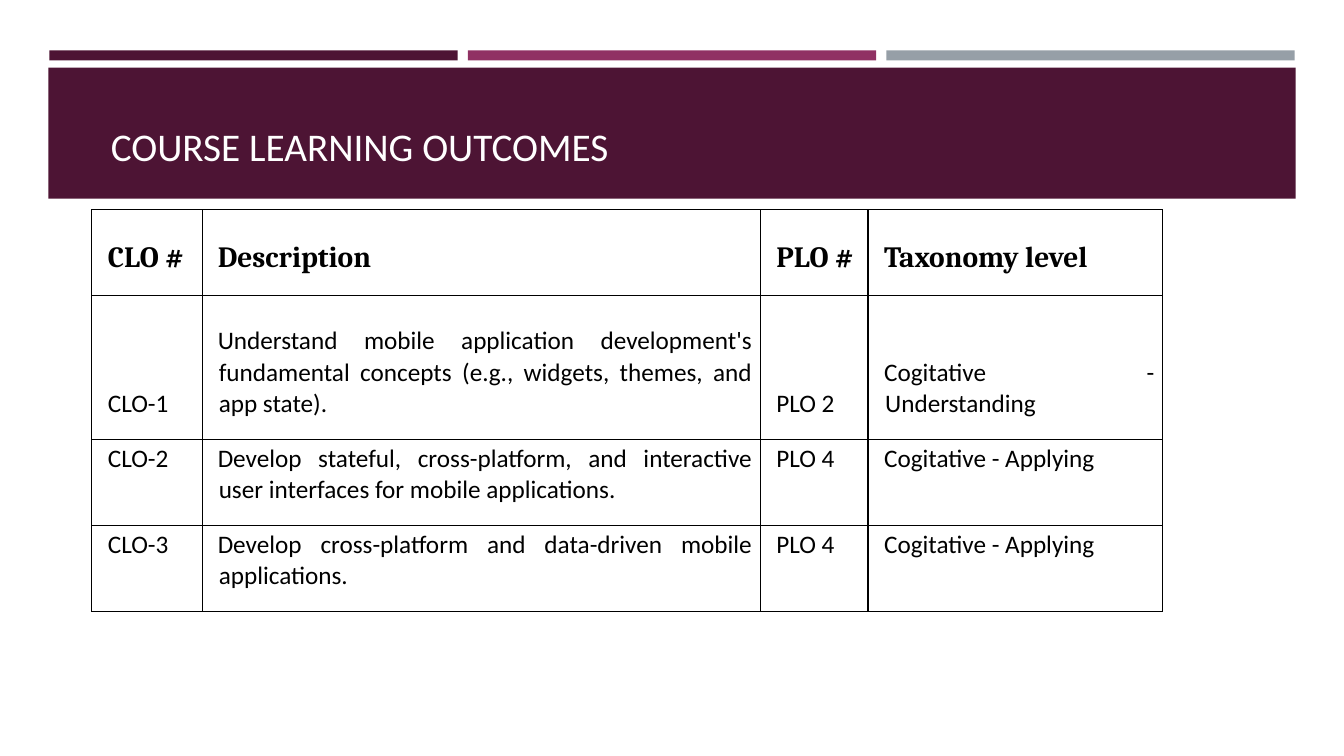
from lxml.etree import SubElement
from pptx import Presentation
from pptx.dml.color import RGBColor
from pptx.enum.shapes import MSO_SHAPE
from pptx.enum.text import MSO_ANCHOR, MSO_AUTO_SIZE, PP_ALIGN
from pptx.oxml.ns import qn
from pptx.util import Inches, Pt

PLUM = RGBColor(0x4D, 0x14, 0x34)
MAGENTA = RGBColor(0x90, 0x31, 0x63)
GREY = RGBColor(0x96, 0x9F, 0xA7)
WHITE = RGBColor(0xFF, 0xFF, 0xFF)
BLACK = RGBColor(0x00, 0x00, 0x00)

COLS = [1.1, 5.53, 1.07, 2.92]
ROWS = [0.85, 1.43, 0.85, 0.85]
OUTCOMES = [
    ["CLO #", "Description", "PLO #", "Taxonomy level"],
    ["CLO-1",
     "Understand mobile application development's fundamental concepts "
     "(e.g., widgets, themes, and app state).",
     "PLO 2", "Cogitative - Understanding"],
    ["CLO-2",
     "Develop stateful, cross-platform, and interactive user interfaces "
     "for mobile applications. ",
     "PLO 4", "Cogitative - Applying"],
    ["CLO-3",
     "Develop cross-platform and data-driven mobile applications.",
     "PLO 4", "Cogitative - Applying"],
]


def add_bar(s, x, y, w, h, color):
    sp = s.shapes.add_shape(MSO_SHAPE.RECTANGLE, Inches(x), Inches(y), Inches(w), Inches(h))
    sp.shadow.inherit = False
    sp.fill.solid()
    sp.fill.fore_color.rgb = color
    sp.line.fill.background()


def add_run(p, text, font, size, color, bold=False):
    r = p.add_run()
    r.text = text
    r.font.name = font
    r.font.size = Pt(size)
    r.font.bold = bold
    r.font.color.rgb = color


prs = Presentation()
prs.slide_width = Inches(13.33)
prs.slide_height = Inches(7.5)
s = prs.slides.add_slide(prs.slide_layouts[5])

for i, color in enumerate([PLUM, MAGENTA, GREY]):
    add_bar(s, 0.49 + i * 4.15, 0.5, 4.05, 0.1, color)
add_bar(s, 0.48, 0.67, 12.37, 1.3, PLUM)

title = s.shapes.title
title.left, title.top = Inches(1), Inches(0.67)
title.width, title.height = Inches(11.32), Inches(1.06)
s.shapes.element.append(title.element)
tf = title.text_frame
tf.word_wrap = True
tf.auto_size = MSO_AUTO_SIZE.NONE
tf.vertical_anchor = MSO_ANCHOR.BOTTOM
p = tf.paragraphs[0]
p.alignment = PP_ALIGN.LEFT
add_run(p, "COURSE LEARNING OUTCOMES", "Calibri", 28, WHITE)

table = s.shapes.add_table(len(ROWS), len(COLS), Inches(0.91), Inches(2.08),
                           Inches(sum(COLS)), Inches(sum(ROWS))).table
table.first_row = False
table.horz_banding = False
for col, w in zip(table.columns, COLS):
    col.width = Inches(w)
for row, h in zip(table.rows, ROWS):
    row.height = Inches(h)

for i, texts in enumerate(OUTCOMES):
    for j, text in enumerate(texts):
        cell = table.cell(i, j)
        cell.margin_left, cell.margin_right = Inches(0.09), Inches(0.08)
        cell.margin_top, cell.margin_bottom = Inches(0.03), Inches(0.2)
        cell.vertical_anchor = MSO_ANCHOR.BOTTOM if i < 2 else MSO_ANCHOR.TOP
        tcPr = cell._tc.get_or_add_tcPr()
        for side in ("a:lnL", "a:lnR", "a:lnT", "a:lnB"):
            ln = SubElement(tcPr, qn(side), w=str(Pt(1)))
            fill = SubElement(ln, qn("a:solidFill"))
            SubElement(fill, qn("a:srgbClr"), val=str(BLACK))
        cell.fill.solid()
        cell.fill.fore_color.rgb = WHITE
        p = cell.text_frame.paragraphs[0]
        p.alignment = PP_ALIGN.JUSTIFY
        p.line_spacing = 1.02
        p.space_after = Pt(0.8)
        pPr = p._p.get_or_add_pPr()
        pPr.set("marL", str(Inches(0.07 if j == 1 else 0.08)))
        pPr.set("indent", str(Inches(-0.01)))
        if i == 0:
            add_run(p, text, "Cambria", 21, BLACK, True)
        else:
            add_run(p, text, "Calibri", 18, BLACK)

prs.save("out.pptx")
